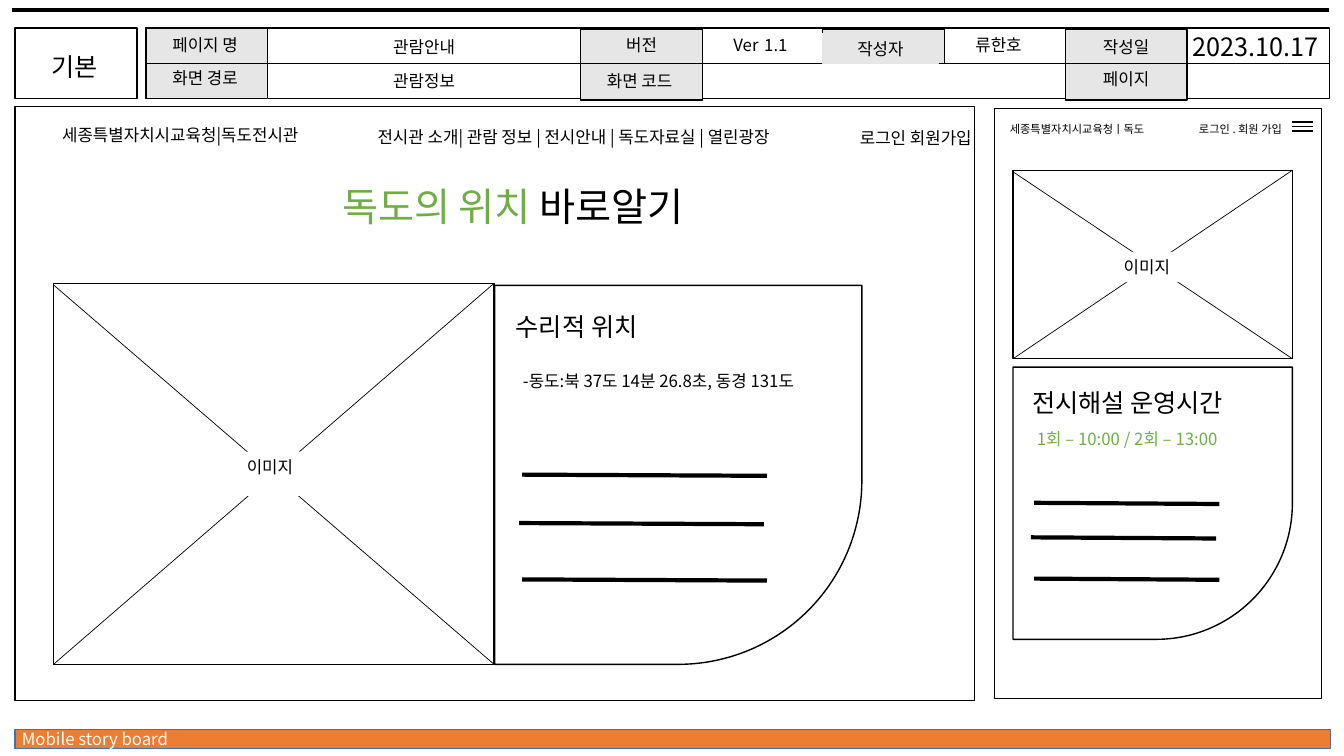
"""Builds a storyboard slide with a desktop and a mobile wireframe of a visitor page."""
from dataclasses import dataclass

import pptx
import pptx.dml.color
import pptx.enum.shapes
import pptx.enum.text
import pptx.oxml.ns
import pptx.util
from lxml import etree

Cm = pptx.util.Cm
Pt = pptx.util.Pt
qn = pptx.oxml.ns.qn
RGB = pptx.dml.color.RGBColor.from_string
ALIGN = pptx.enum.text.PP_ALIGN
KIND = pptx.enum.shapes.MSO_SHAPE


@dataclass(frozen=True)
class Theme:
    font: str = "Noto Sans CJK KR"
    ink: str = "000000"
    paper: str = "FFFFFF"
    grey: str = "E7E6E6"
    orange: str = "ED7D31"
    blue: str = "43739E"
    green: str = "70AD47"
    small: int = 8
    body: int = 12
    heading: int = 18
    title: int = 28


T = Theme()
prs = pptx.Presentation()
prs.slide_width, prs.slide_height = Cm(33.87), Cm(19.05)
s = prs.slides.add_slide(prs.slide_layouts[6])


def add_text(x, y, w, h, words, size=T.body, align=ALIGN.CENTER, color=T.ink):
    tb = s.shapes.add_textbox(Cm(x), Cm(y), Cm(w), Cm(h))
    tf = tb.text_frame
    tf.word_wrap = True
    p = tf.paragraphs[0]
    p.alignment = align
    p.font.size = Pt(size)
    p.font.color.rgb = RGB(color)
    p.font.name = T.font
    etree.SubElement(p._p.pPr.find(qn("a:defRPr")), qn("a:ea"), typeface=T.font)
    for word in words if isinstance(words, list) else [words]:
        p.add_run().text = word
    return tb


def add_line(x1, y1, x2, y2, weight):
    c = s.shapes.add_connector(pptx.enum.shapes.MSO_CONNECTOR.STRAIGHT,
                               Cm(x1), Cm(y1), Cm(x2), Cm(y2))
    c.line.color.rgb = RGB(T.ink)
    c.line.width = Pt(weight)
    etree.SubElement(c._element.spPr, qn("a:effectLst"))


images = [(1.35, 7.14, 11.1, 9.6), (25.53, 4.29, 7.04, 4.75)]
cards = [(12.47, 7.19, 9.25, 9.55), (25.53, 9.25, 7.04, 6.86)]
frames = [
    (0.38, 0.71, 3.07, 1.78),
    (3.68, 0.71, 29.82, 1.78),
    (0.38, 2.69, 24.18, 14.96),
    (25.07, 2.74, 8.23, 14.86),
]
label_cells = [
    (3.68, 0.71, 3.07, 1.78),
    (14.63, 0.74, 3.07, 1.78),
    (20.73, 0.74, 3.07, 0.86),
    (26.85, 0.74, 3.07, 1.78),
]
footer = [(0.38, 18.39, 33.15, 0.48)]

for boxes, kind, fill, edge in [
    (footer, KIND.RECTANGLE, T.orange, T.blue),
    (frames, KIND.RECTANGLE, None, T.ink),
    (label_cells, KIND.RECTANGLE, T.grey, T.ink),
    (images, KIND.RECTANGLE, None, T.ink),
    (cards, KIND.ROUND_1_RECTANGLE, T.paper, T.ink),
]:
    for x, y, w, h in boxes:
        sp = s.shapes.add_shape(kind, Cm(x), Cm(y), Cm(w), Cm(h))
        sp.shadow.inherit = False
        sp.line.color.rgb = RGB(edge)
        sp.line.width = Pt(1)
        if fill:
            sp.fill.solid()
            sp.fill.fore_color.rgb = RGB(fill)
        else:
            sp.fill.background()
        if kind == KIND.ROUND_1_RECTANGLE:
            sp.adjustments[0] = 0.5
            sp.rotation = 180
            sp._element.spPr.find(qn("a:xfrm")).set("flipH", "1")

add_line(0.3, 0.25, 33.5, 0.25, 3)
add_line(3.68, 1.6, 33.5, 1.6, 0.5)
for x, y, w, h in images:
    add_line(x, y + h, x + w, y, 0.5)
    add_line(x, y + 0.04, x + w, y + h, 0.5)
for x, w, rows in [(13.16, 6.17, (11.96, 13.18, 14.6)),
                   (26.06, 4.67, (12.67, 13.54, 14.58))]:
    for shift, y in zip((0, -0.08, 0), rows):
        add_line(x + shift, y, x + shift + w, y + 0.03, 3)
for y in (3.07, 3.18, 3.3):
    add_line(32.56, y, 33.1, y, 1)

for x, y, h in [(5.97, 11.38, 1.12), (28.07, 6.35, 0.76)]:
    tb = add_text(x, y, 1.83, h, "이미지", align=ALIGN.LEFT)
    tb.fill.solid()
    tb.fill.fore_color.rgb = RGB(T.paper)

for x, y, w, words in [
    (3.71, 0.74, 2.92, "페이지 명"),
    (3.71, 1.57, 2.92, "화면 경로"),
    (14.71, 0.76, 2.92, "버전"),
    (14.66, 1.65, 2.92, "화면 코드"),
    (26.92, 0.81, 2.92, "작성일"),
    (26.92, 1.6, 2.92, "페이지"),
    (22.61, 0.76, 5.11, "류한호"),
    (7.77, 0.79, 5.84, "관람안내"),
    (7.77, 1.65, 5.84, "관람정보"),
    (0.66, 3.02, 7.77, "세종특별자치시교육청|독도전시관"),
    (8.56, 3.07, 11.79, "전시관 소개| 관람 정보 | 전시안내 | 독도자료실 | 열린광장"),
]:
    add_text(x, y, w, 0.76, words)

author = add_text(20.73, 0.84, 2.92, 0.76, "작성자")
author.line.color.rgb = RGB(T.grey)
author.line.width = Pt(0.75)
version = add_text(16.61, 0.53, 5.11, 1.02, ["Ver", " ", "1.1"])
version.text_frame.paragraphs[0].runs[1].font.size = Pt(T.heading)
add_text(0.43, 1.17, 2.92, 1.07, "기본", T.heading)
add_text(29.08, 0.66, 5.11, 1.02, "2023.10.17", T.heading)
add_text(14.81, 3.1, 9.93, 0.76, "로그인 회원가입", align=ALIGN.RIGHT)
add_text(0.3, 18.24, 8.13, 0.76, "Mobile story board", align=ALIGN.LEFT, color=T.paper)

title = add_text(6.88, 4.47, 12.09, 1.45, ["독도의 위치 ", "바로알기"], T.title)
for r, color in zip(title.text_frame.paragraphs[0].runs, (T.green, T.ink)):
    r.font.color.rgb = RGB(color)
add_text(12.75, 7.72, 7.59, 1.02, "수리적 위치", T.heading, ALIGN.LEFT)
add_text(12.93, 9.22, 8.25, 0.76, "-동도:북 37도 14분 26.8초, 동경 131도", align=ALIGN.LEFT)

add_text(25.2, 2.97, 4.75, 0.61, "세종특별자치시교육청ㅣ독도", T.small, ALIGN.LEFT)
add_text(29.41, 2.95, 3.15, 0.61, "로그인 . 회원 가입", T.small, ALIGN.RIGHT)
add_text(25.76, 9.63, 6.4, 1.02, "전시해설 운영시간", T.heading, ALIGN.LEFT)
add_text(25.88, 10.69, 6.27, 0.81, "1회 – 10:00 / 2회 – 13:00", align=ALIGN.LEFT, color=T.green)

prs.save("out.pptx")
